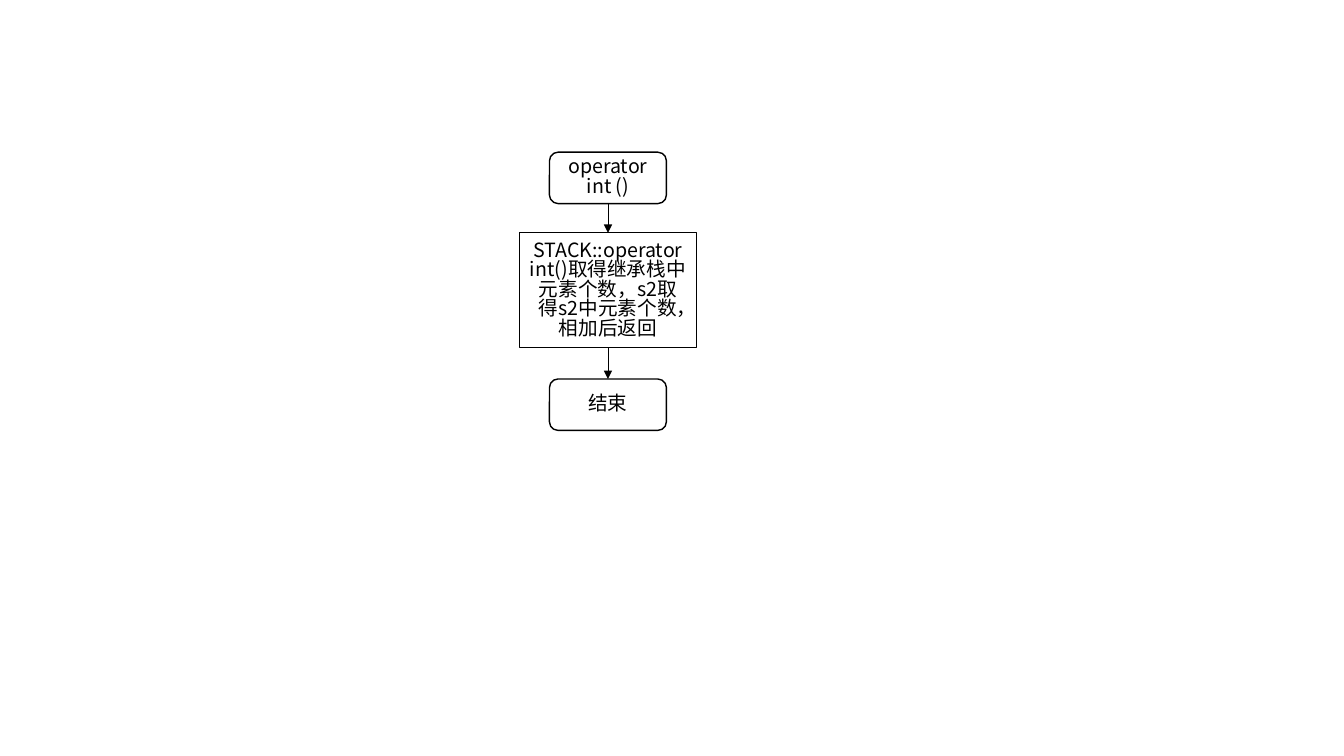
"""Flowchart of the operator int() function."""
import pptx
import pptx.dml.color
import pptx.enum.shapes
import pptx.enum.text
import pptx.oxml.ns
import pptx.util
from lxml import etree

Inches = pptx.util.Inches
Pt = pptx.util.Pt
SHAPE = pptx.enum.shapes.MSO_SHAPE
BLACK = pptx.dml.color.RGBColor(0x00, 0x00, 0x00)
WHITE = pptx.dml.color.RGBColor(0xFF, 0xFF, 0xFF)
FONT = "Noto Sans CJK SC"
CENTER_X = 6.03


def set_text(tf, text, size=14, color=BLACK, font=FONT, spacing=0.83):
    """Write centred text into a text frame."""
    tf.word_wrap = True
    tf.vertical_anchor = pptx.enum.text.MSO_ANCHOR.MIDDLE
    p = tf.paragraphs[0]
    p.alignment = pptx.enum.text.PP_ALIGN.CENTER
    p.line_spacing = spacing
    r = p.add_run()
    r.text = text
    r.font.size = Pt(size)
    r.font.color.rgb = color
    r.font.name = font
    ea = etree.SubElement(r.font._element, pptx.oxml.ns.qn("a:ea"))
    ea.set("typeface", font)


def add_step(s, kind, text, top, width, height):
    """Add a flowchart box centred on the flow axis."""
    sp = s.shapes.add_shape(kind, Inches(CENTER_X - width / 2), Inches(top),
                            Inches(width), Inches(height))
    sp.shadow.inherit = False
    sp.fill.solid()
    sp.fill.fore_color.rgb = WHITE
    sp.line.color.rgb = BLACK
    sp.line.width = Pt(1)
    set_text(sp.text_frame, text)
    return sp


def add_arrow(s, upper, lower):
    """Connect the bottom of one box to the top of the next."""
    cxn = s.shapes.add_connector(pptx.enum.shapes.MSO_CONNECTOR.STRAIGHT, 0, 0, 0, 0)
    cxn.begin_connect(upper, 2)
    cxn.end_connect(lower, 0)
    cxn.line.color.rgb = BLACK
    cxn.line.width = Pt(0.5)
    tail = etree.SubElement(cxn.line._get_or_add_ln(), pptx.oxml.ns.qn("a:tailEnd"))
    tail.set("type", "triangle")
    etree.SubElement(cxn._element.spPr, pptx.oxml.ns.qn("a:effectLst"))


def main():
    """Build and save the slide."""
    prs = pptx.Presentation()
    prs.slide_width = Inches(13.33)
    prs.slide_height = Inches(7.5)
    s = prs.slides.add_slide(prs.slide_layouts[6])
    steps = [
        (SHAPE.ROUNDED_RECTANGLE, "operator int ()", 1.51, 1.16, 0.51),
        (SHAPE.RECTANGLE, "STACK::operator int()取得继承栈中元素个数，s2取得s2中元素个数，相加后返回",
         2.31, 1.76, 1.14),
        (SHAPE.ROUNDED_RECTANGLE, "结束", 3.76, 1.16, 0.51),
    ]
    boxes = [add_step(s, *step) for step in steps]
    for upper, lower in zip(boxes, boxes[1:]):
        add_arrow(s, upper, lower)
    prs.save("out.pptx")


main()
